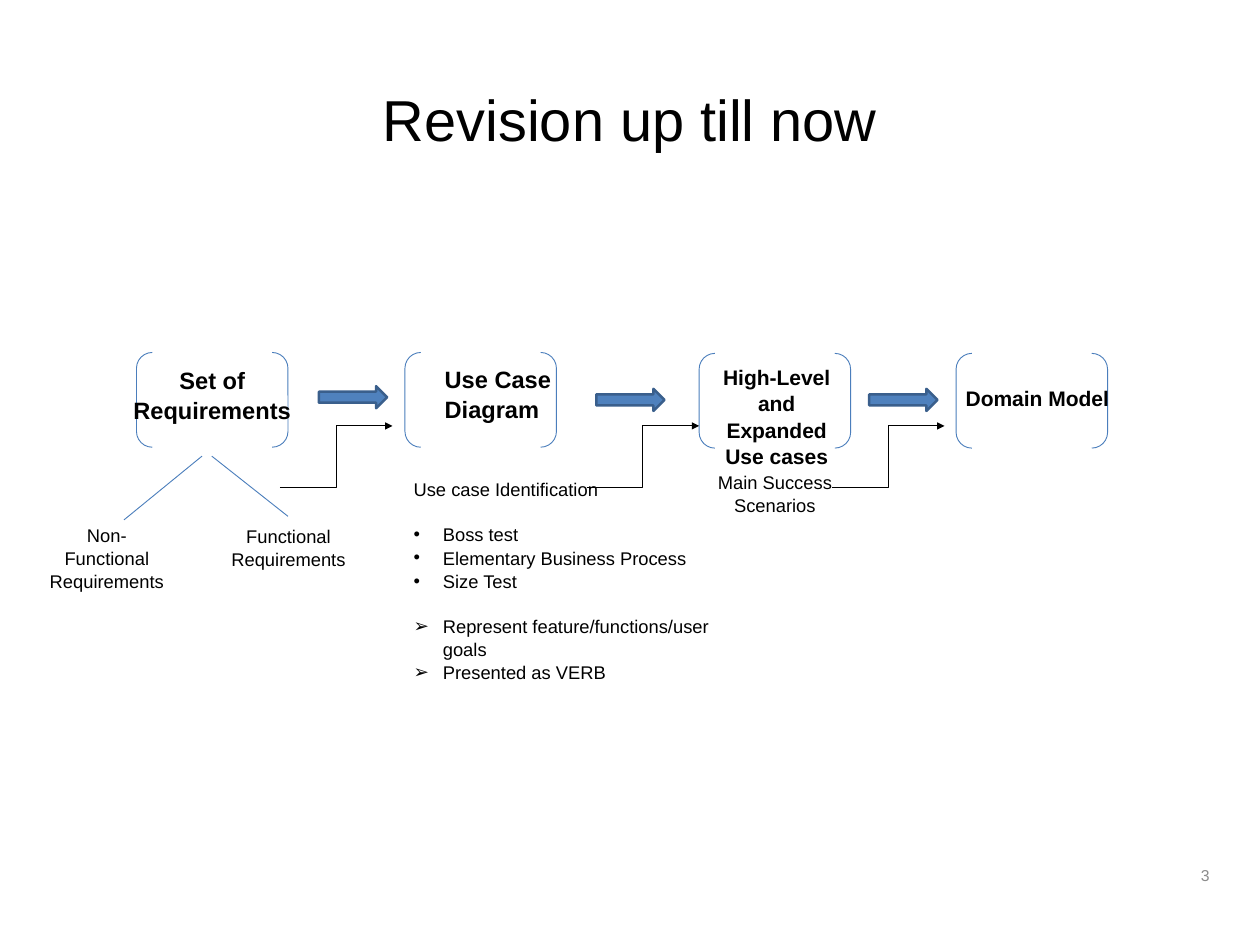
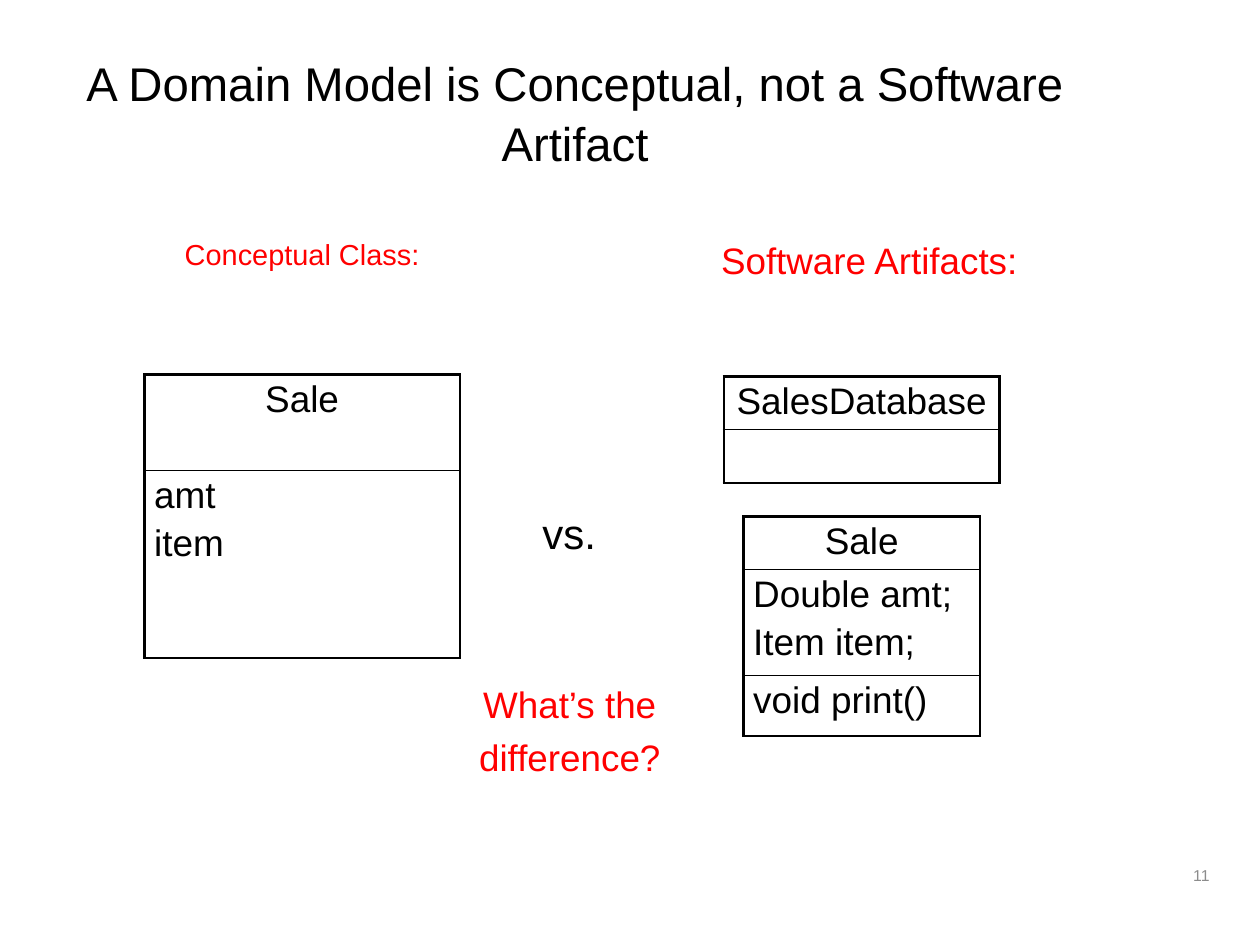
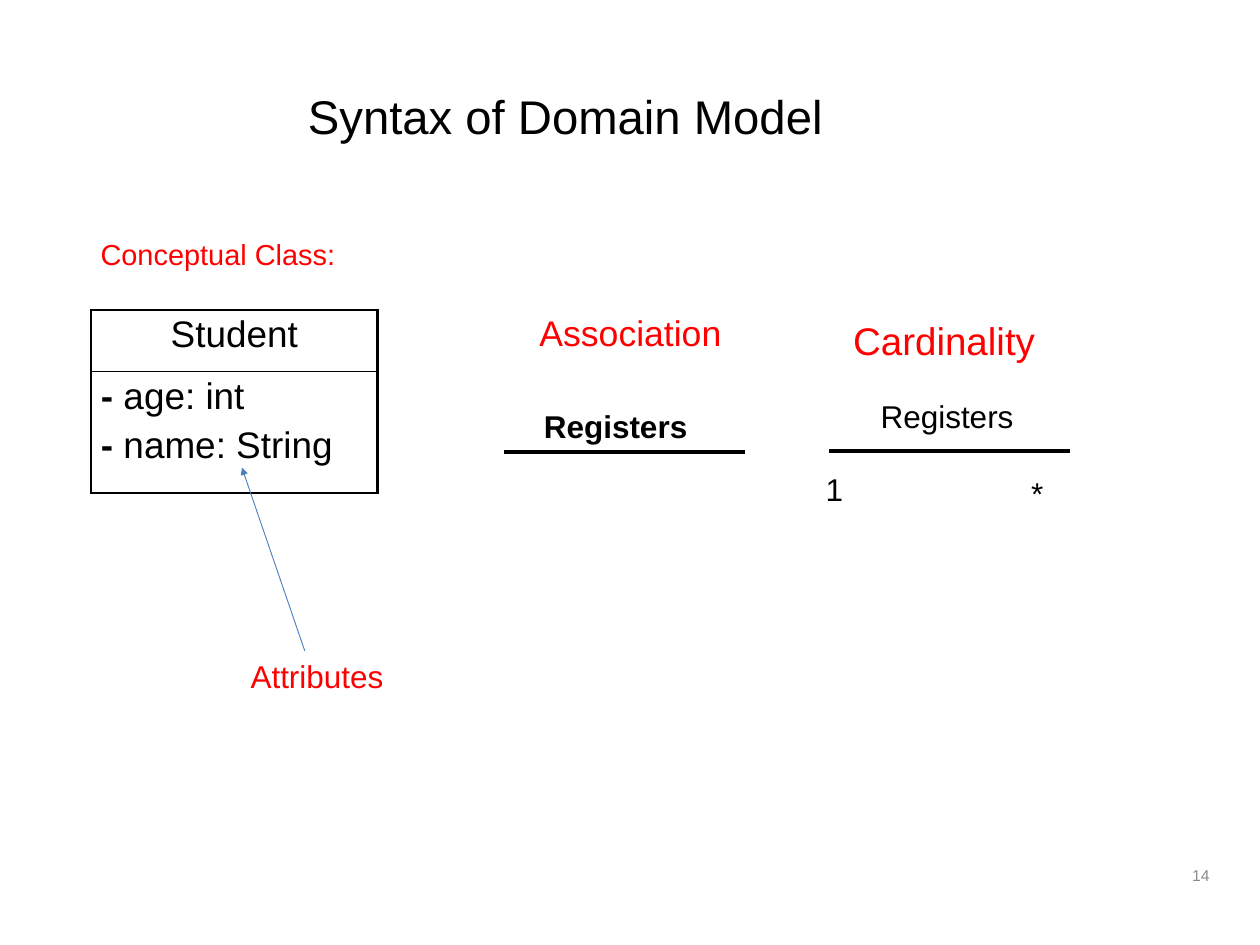
from lxml import etree
from pptx import Presentation
from pptx.dml.color import RGBColor
from pptx.enum.shapes import MSO_CONNECTOR, MSO_SHAPE
from pptx.enum.text import MSO_ANCHOR, PP_ALIGN
from pptx.oxml.ns import qn
from pptx.util import Inches, Pt

BLACK = RGBColor(0x00, 0x00, 0x00)
RED = RGBColor(0xFF, 0x00, 0x00)
GREY = RGBColor(0x8C, 0x8C, 0x8C)
LINE_BLUE = RGBColor(0x4B, 0x7E, 0xBC)
ARROW_FILL = RGBColor(0x4F, 0x81, 0xBD)
ARROW_EDGE = RGBColor(0x3A, 0x5F, 0x8C)
FONT = "Arial"
LEFT, CENTER, RIGHT = PP_ALIGN.LEFT, PP_ALIGN.CENTER, PP_ALIGN.RIGHT
TOP, MIDDLE = MSO_ANCHOR.TOP, MSO_ANCHOR.MIDDLE
STRAIGHT, ELBOW = MSO_CONNECTOR.STRAIGHT, MSO_CONNECTOR.ELBOW
BRACKETS, BLOCK_ARROW = MSO_SHAPE.DOUBLE_BRACKET, MSO_SHAPE.RIGHT_ARROW
BLANK_LAYOUT = 6
NUMBER_BOX = (12.92, 9.72, 0.83, 0.71)
BRACKET_SIZE = (1.71, 1.07)
ARROW_SIZE = (0.77, 0.25)
HANGING = 0.33
TEXT_PITCH = 1.05
OUTER, INNER = 2.25, 1


def inches(values):
    """Turn a sequence of numbers into lengths."""
    return [Inches(value) for value in values]


def add_run(paragraph, text, size, color=BLACK, bold=False):
    """Append one formatted run."""
    run = paragraph.add_run()
    run.text = text
    formats = {"name": FONT, "size": Pt(size), "bold": bold}
    for name, value in formats.items():
        setattr(run.font, name, value)
    run.font.color.rgb = color


def set_bullet(paragraph, symbol):
    """Give a paragraph a hanging bullet."""
    properties = paragraph._p.get_or_add_pPr()
    properties.set("marL", str(Inches(HANGING)))
    properties.set("indent", str(-Inches(HANGING)))
    etree.SubElement(properties, qn("a:buFont")).set("typeface", FONT)
    etree.SubElement(properties, qn("a:buChar")).set("char", symbol)


def add_text(slide, box, lines, size, color=BLACK, bold=False,
             alignment=LEFT, anchor=TOP, gap=0):
    """Add a wrapped text box with one paragraph per line."""
    frame = slide.shapes.add_textbox(*inches(box)).text_frame
    frame.word_wrap = True
    frame.vertical_anchor = anchor
    for index, line in enumerate(lines):
        paragraph = frame.paragraphs[0] if index == 0 else frame.add_paragraph()
        formats = {"alignment": alignment, "line_spacing": TEXT_PITCH}
        if index and gap:
            formats["space_before"] = Pt(gap)
        for name, value in formats.items():
            setattr(paragraph, name, value)
        add_run(paragraph, line, size, color, bold)
    return frame


def add_line(slide, start, end, color, width, kind=STRAIGHT, arrow=False):
    """Add a connector, with an optional arrowhead at its end."""
    connector = slide.shapes.add_connector(kind, *inches(start + end))
    connector.line.color.rgb = color
    connector.line.width = Pt(width)
    if arrow:
        line = connector.line._get_or_add_ln()
        etree.SubElement(line, qn("a:tailEnd")).set("type", "triangle")
    etree.SubElement(connector._element.spPr, qn("a:effectLst"))


def add_preset(slide, kind, box, edge, width, fill=None):
    """Add an outlined preset shape without a shadow."""
    shape = slide.shapes.add_shape(kind, *inches(box))
    shape.shadow.inherit = False
    shape.line.color.rgb = edge
    shape.line.width = Pt(width)
    if fill is None:
        shape.fill.background()
    else:
        shape.fill.solid()
        shape.fill.fore_color.rgb = fill


def set_borders(cell, widths):
    """Draw the black borders of a cell, given side by side."""
    properties = cell._tc.get_or_add_tcPr()
    for side, width in widths.items():
        line = etree.SubElement(properties, qn(f"a:ln{side}"))
        line.set("w", str(Pt(width)))
        solid = etree.SubElement(line, qn("a:solidFill"))
        etree.SubElement(solid, qn("a:srgbClr")).set("val", str(BLACK))


def add_class(slide, left, top, width, compartments):
    """Draw a class as a one-column table of (height, lines) compartments."""
    heights = [height for height, _ in compartments]
    box = inches((left, top, width, sum(heights)))
    table = slide.shapes.add_table(len(compartments), 1, *box).table
    table.first_row = table.horz_banding = False
    margins = {"margin_left": 0.11, "margin_right": 0.11,
               "margin_top": 0.05, "margin_bottom": 0.05}
    last = len(compartments) - 1
    for row, (height, lines) in enumerate(compartments):
        table.rows[row].height = Inches(height)
        cell = table.cell(row, 0)
        for name, value in margins.items():
            setattr(cell, name, Inches(value))
        set_borders(cell, {"L": OUTER, "R": OUTER,
                           "T": INNER if row else OUTER,
                           "B": OUTER if row == last else INNER})
        cell.fill.background()
        for index, line in enumerate(lines):
            frame = cell.text_frame
            paragraph = frame.paragraphs[0] if index == 0 else frame.add_paragraph()
            paragraph.alignment = LEFT if row else CENTER
            if index:
                paragraph.space_before = Pt(6)
            marker = "-" if line.startswith("-") else ""
            if marker:
                add_run(paragraph, marker, 30, bold=True)
            add_run(paragraph, line[len(marker):], 30)


def start_slide(presentation, title, title_box, title_size, number):
    """Add a slide with its title and its number."""
    slide = presentation.slides.add_slide(presentation.slide_layouts[BLANK_LAYOUT])
    add_text(slide, title_box, [title], title_size, alignment=CENTER, anchor=MIDDLE)
    add_text(slide, NUMBER_BOX, [number], 12.8, GREY, alignment=RIGHT)
    return slide


def add_stage(slide, left, top, lines, size, offset, box_size, alignment):
    """Draw a bracketed stage with its label placed from its corner."""
    add_preset(slide, BRACKETS, (left, top) + BRACKET_SIZE, LINE_BLUE, 0.75)
    label_box = (left + offset[0], top + offset[1]) + box_size
    add_text(slide, label_box, lines, size, bold=True, alignment=alignment)


def add_requirement_kinds(slide, left, top):
    """Branch the requirements into their two kinds."""
    branches = [
        ((1.86, 0), (0.98, 0.72), (0, 0.71, 1.57, 0.85), "Non-Functional Requirements"),
        ((1.97, 0), (2.83, 0.68), (2.05, 0.72, 1.57, 0.6), "Functional Requirements"),
    ]
    for start, end, box, label in branches:
        points = [(left + x, top + y) for x, y in (start, end)]
        add_line(slide, *points, LINE_BLUE, 0.75)
        label_box = (left + box[0], top + box[1]) + box[2:]
        add_text(slide, label_box, [label], 14.9, alignment=CENTER)


def add_use_case_notes(slide, box):
    """List how use cases are identified and presented."""
    groups = [
        ("•", ["Boss test", "Elementary Business Process", "Size Test"]),
        ("➢", ["Represent feature/functions/user goals", "Presented as VERB"]),
    ]
    lines = ["Use case Identification"] + [line for _, group in groups for line in group]
    paragraphs = iter(add_text(slide, box, lines, 14.9).paragraphs[1:])
    for symbol, group in groups:
        for index in range(len(group)):
            paragraph = next(paragraphs)
            set_bullet(paragraph, symbol)
            if index == 0:
                paragraph.space_before = Pt(18)


def build_revision(presentation):
    """Build the slide that recalls the steps so far."""
    slide = start_slide(presentation, "Revision up till now",
                        (0.71, 0.43, 12.8, 1.78), 46.9, "3")
    stages = [
        (1.54, 3.98, ["Set of Requirements"], 19.2, (-0.14, 0.09), (1.99, 0.75), CENTER),
        (4.57, 3.98, ["Use Case", "Diagram"], 19.2, (0.35, 0.08), (1.49, 0.75), LEFT),
        (7.89, 3.99, ["High-Level and Expanded Use cases"], 17.1,
         (0.05, 0.06), (1.65, 1.25), CENTER),
        (10.79, 3.99, ["Domain Model"], 17.1, (0.01, 0.3), (2, 0.39), LEFT),
    ]
    for stage in stages:
        add_stage(slide, *stage)
    for corner in ((3.6, 4.36), (6.73, 4.39), (9.81, 4.39)):
        add_preset(slide, BLOCK_ARROW, corner + ARROW_SIZE, ARROW_EDGE, 2, ARROW_FILL)
    for left in (3.16, 6.62, 9.39):
        add_line(slide, (left, 5.51), (left + 1.27, 4.81), BLACK, 0.75, ELBOW, True)
    add_requirement_kinds(slide, 0.42, 5.15)
    add_use_case_notes(slide, (4.57, 5.34, 4, 2.36))
    add_text(slide, (7.78, 5.26, 1.93, 0.6), ["Main Success Scenarios"], 14.9,
             alignment=CENTER)


def build_comparison(presentation):
    """Build the slide that sets concepts against software."""
    slide = start_slide(presentation,
                        "A Domain Model is Conceptual, not a Software Artifact",
                        (0.53, 0.42, 11.92, 1.67), 38.4, "11")
    labels = [
        ((1.19, 2.6, 4.44, 0.89), ["Conceptual Class:"], 23.5, RED),
        ((7.59, 2.61, 4.44, 0.89), ["Software Artifacts:"], 29.9, RED),
        ((5.36, 5.65, 2.13, 0.89), ["vs."], 34.1, BLACK),
        ((4.21, 7.62, 4.44, 1.33), ["What’s the", "difference?"], 29.9, RED),
    ]
    for box, lines, size, color in labels:
        add_text(slide, box, lines, size, color, alignment=CENTER, gap=6)
    add_class(slide, 1.63, 4.23, 3.56, [(1.08, ["Sale"]), (2.12, ["amt", "item"])])
    add_class(slide, 8.17, 4.25, 3.11, [(0.6, ["SalesDatabase"]), (0.6, [])])
    add_class(slide, 8.39, 5.83, 2.67, [(0.6, ["Sale"]),
                                        (1.2, ["Double amt;", "Item item;"]),
                                        (0.68, ["void print()"])])


def add_association(slide, left, top, heading, heading_size, heading_box, name_box, bold):
    """Draw a named association line under its red heading."""
    for box, label, size, color, weight, alignment in (
            (heading_box, heading, heading_size, RED, False, CENTER),
            (name_box, "Registers", 25.6, BLACK, bold, LEFT)):
        label_box = (left + box[0], top + box[1]) + box[2:]
        add_text(slide, label_box, [label], size, color, weight, alignment)
    add_line(slide, (left, top), (left + 2.72, top), BLACK, 3.25)


def build_syntax(presentation):
    """Build the slide that shows the notation."""
    slide = start_slide(presentation, "Syntax of Domain Model",
                        (0.42, 0.45, 11.92, 1.67), 38.4, "14")
    add_text(slide, (0.24, 2.6, 4.44, 0.89), ["Conceptual Class:"], 23.5, RED,
             alignment=CENTER)
    add_class(slide, 1.03, 3.5, 3.23, [(0.7, ["Student"]),
                                       (1.37, ["- age: int", "- name: String"])])
    add_association(slide, 5.69, 5.1, "Association", 28.9,
                    (0.18, -1.66, 2.49, 0.89), (0.35, -0.58, 2.37, 0.53), True)
    add_association(slide, 9.36, 5.09, "Cardinality", 31.3,
                    (-0.01, -1.59, 2.61, 0.89), (0.48, -0.68, 1.78, 0.53), False)
    for left, top, symbol in ((9.22, 5.24, "1"), (11.54, 5.28, "*")):
        add_text(slide, (left, top, 0.8, 0.53), [symbol], 25.6)
    add_line(slide, (3.44, 7.35), (2.73, 5.28), LINE_BLUE, 0.75, arrow=True)
    add_text(slide, (2.73, 7.35, 2.37, 0.53), ["Attributes"], 25.6, RED)


def main():
    """Build and save the presentation."""
    presentation = Presentation()
    presentation.slide_width = Inches(14.22)
    presentation.slide_height = Inches(10.67)
    for build in (build_revision, build_comparison, build_syntax):
        build(presentation)
    presentation.save("out.pptx")


if __name__ == "__main__":
    main()
